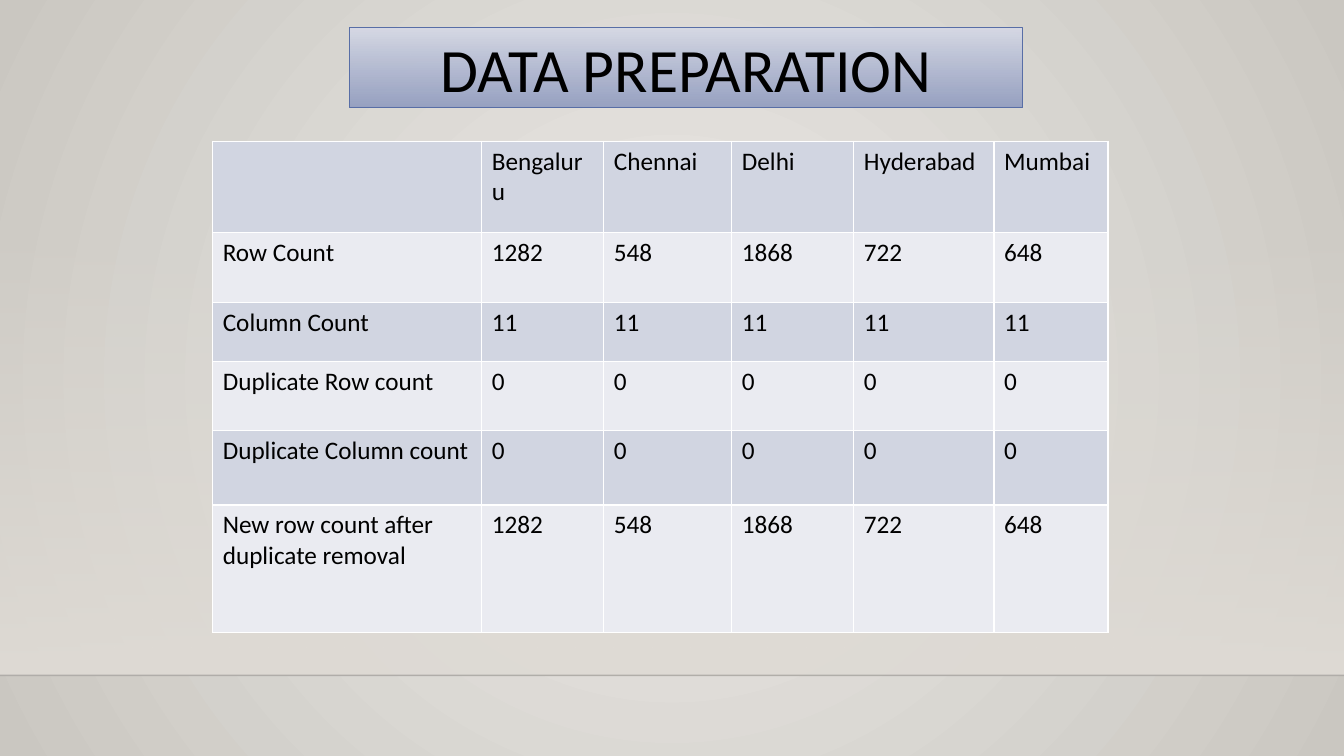
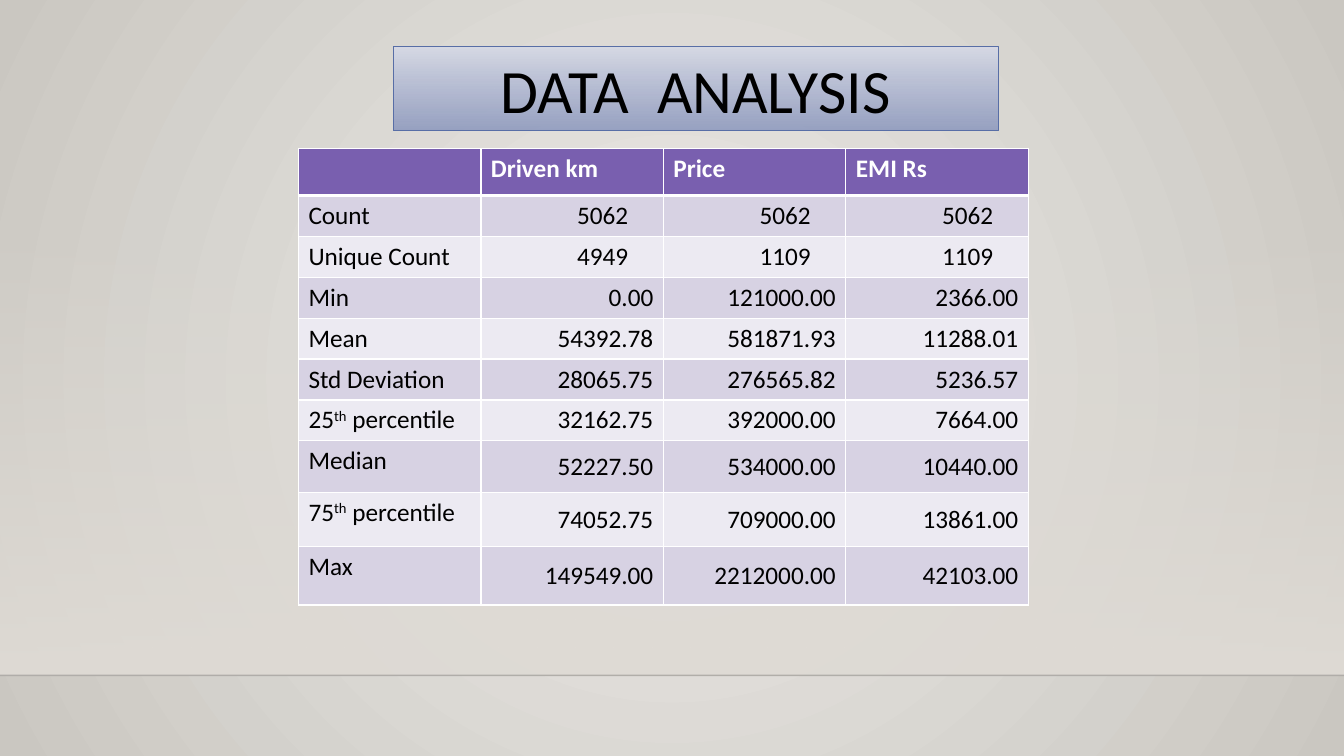
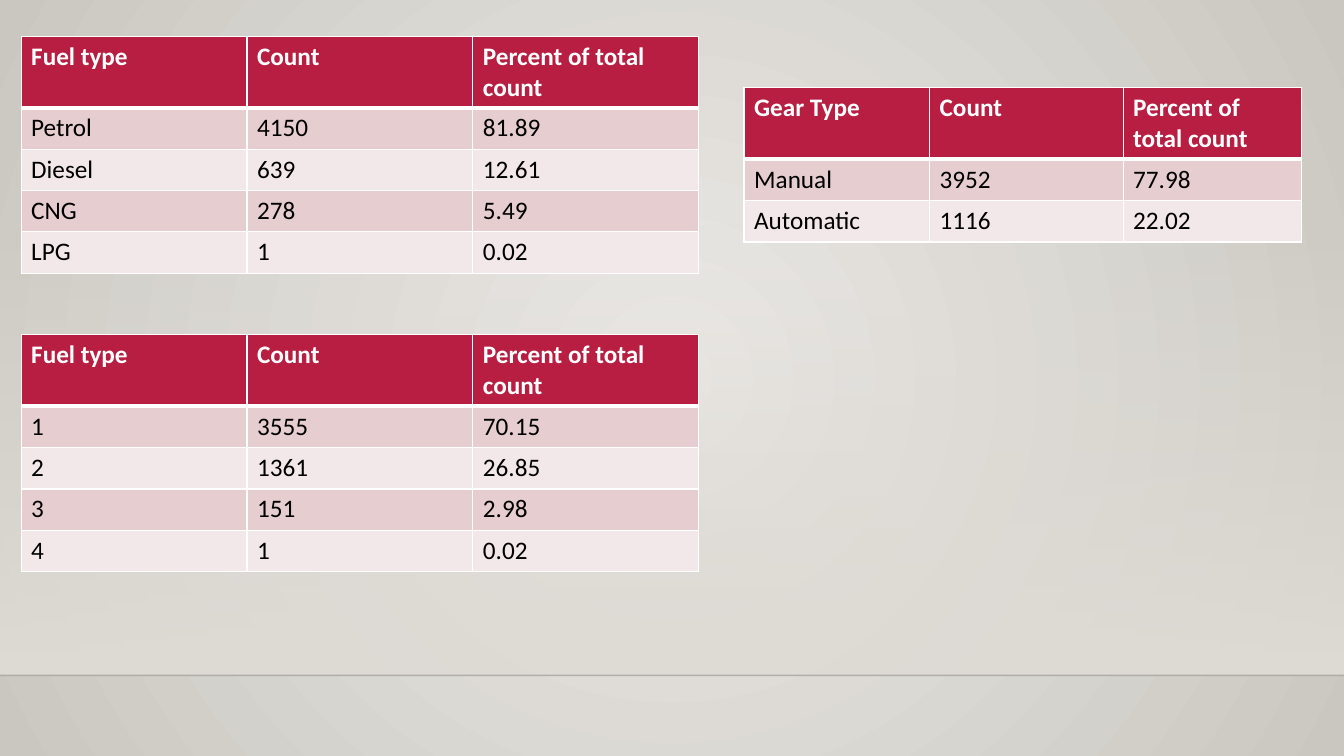
"""Build three slides of car data tables on a shared warm backdrop."""
import lxml.etree
import pptx
import pptx.dml.color
import pptx.enum.shapes
import pptx.enum.text
import pptx.oxml.ns
import pptx.util

Inches = pptx.util.Inches
Pt = pptx.util.Pt
qn = pptx.oxml.ns.qn
ALIGN = pptx.enum.text.PP_ALIGN
MIDDLE = pptx.enum.text.MSO_ANCHOR.MIDDLE

HUES = {
    "ink": "000000", "white": "FFFFFF", "rule": "000001",
    "core": "ECEAE7", "rim": "CAC7C1", "floor": "DFDBD5",
    "pale": "D6D9E5", "deep": "929DC0", "edge": "586EA6",
}
TONES = {
    "blue": ("D1D5E1", "D1D5E1", "EAEBF1"),
    "purple": ("795FAF", "D7D2E3", "ECEAF2"),
    "red": ("B71E42", "E6CDCF", "F3E8E9"),
}


def tint(hue):
    return pptx.dml.color.RGBColor.from_string(hue)


def sub(node, tag, **attrs):
    return lxml.etree.SubElement(node, qn(tag), **attrs)


def blend(owner, fill, stops, radial=False):
    fill.solid()
    old = owner.find(".//" + qn("a:solidFill"))
    grad = lxml.etree.Element(qn("a:gradFill"), rotWithShape="1")
    items = sub(grad, "a:gsLst")
    for spot, hue, alpha in stops:
        stop = sub(items, "a:gs", pos=str(spot * 1000))
        color = sub(stop, "a:srgbClr", val=HUES[hue])
        if alpha < 100:
            sub(color, "a:alpha", val=str(alpha * 1000))
    if radial:
        route = sub(grad, "a:path", path="circle")
        sub(route, "a:fillToRect", l="50000", t="50000", r="50000", b="50000")
    else:
        sub(grad, "a:lin", ang="5400000", scaled="0")
    old.getparent().replace(old, grad)


class Deck:
    def __init__(self):
        self.show = pptx.Presentation()
        self.show.slide_width = Inches(13.33)
        self.show.slide_height = Inches(7.5)
        self.font = "Calibri"
        master = self.show.slide_master
        blend(master.element, master.background.fill,
              [(0, "core", 100), (100, "rim", 100)], radial=True)

    def page(self):
        self.slide = self.show.slides.add_slide(self.show.slide_layouts[6])
        band = self.box(0, 2.21, 13.33, 4.49, [(0, "floor", 0), (100, "floor", 100)])
        band.line.fill.background()
        self.rule(6.7)

    def box(self, left, top, width, height, stops):
        shape = self.slide.shapes.add_shape(
            pptx.enum.shapes.MSO_SHAPE.RECTANGLE,
            Inches(left), Inches(top), Inches(width), Inches(height))
        shape.shadow.inherit = False
        blend(shape.element, shape.fill, stops)
        return shape

    def rule(self, top):
        line = self.slide.shapes.add_connector(
            pptx.enum.shapes.MSO_CONNECTOR.STRAIGHT,
            0, Inches(top), Inches(13.33), Inches(top))
        line.line.width = Pt(1)
        line.line.color.rgb = tint(HUES["rule"])
        sub(line.element.find(".//" + qn("a:srgbClr")), "a:alpha", val="20000")
        sub(line.element.spPr, "a:effectLst")

    def style(self, para, size, hue="ink", bold=False):
        for run in para.runs:
            run.font.name = self.font
            run.font.size = Pt(size)
            run.font.bold = bold
            run.font.color.rgb = tint(HUES[hue])

    def title(self, text, left, top, width, height):
        shape = self.box(left, top, width, height,
                         [(0, "pale", 100), (100, "deep", 92)])
        shape.line.color.rgb = tint(HUES["edge"])
        shape.line.width = Pt(0.75)
        frame = shape.text_frame
        frame.text = text
        frame.vertical_anchor = MIDDLE
        para = frame.paragraphs[0]
        para.alignment = ALIGN.CENTER
        self.style(para, 44)

    def edges(self, cell, upper, lower):
        props = cell._tc.get_or_add_tcPr()
        sides = (("L", 1), ("R", 1), ("T", upper), ("B", lower))
        for spot, (side, width) in enumerate(sides):
            line = lxml.etree.Element(qn("a:ln" + side), w=str(Pt(width)))
            sub(sub(line, "a:solidFill"), "a:srgbClr", val=HUES["white"])
            props.insert(spot, line)

    def label(self, cell, text, hue, bold):
        para = cell.text_frame.paragraphs[0]
        for spot, part in enumerate(text.split("^")):
            run = para.add_run()
            run.text = part
            if spot == 1:
                run._r.get_or_add_rPr().set("baseline", "30000")
        self.style(para, 18, hue, bold)

    def grid(self, left, top, cols, rows, data, tone, head=True, right=False):
        table = self.slide.shapes.add_table(
            len(rows), len(cols), Inches(left), Inches(top),
            Inches(sum(cols)), Inches(sum(rows))).table
        table.first_row = table.horz_banding = False
        for col, width in zip(table.columns, cols):
            col.width = Inches(width)
        first, odd, even = TONES[tone]
        for i, (height, line) in enumerate(zip(rows, data)):
            table.rows[i].height = Inches(height)
            lead = head and i == 0
            fill = first if i == 0 else odd if i % 2 == head else even
            for j, text in enumerate(line):
                cell = table.cell(i, j)
                cell.fill.solid()
                cell.fill.fore_color.rgb = tint(fill)
                self.edges(cell, 3 if head and i == 1 else 1, 3 if lead else 1)
                if text:
                    self.label(cell, text, "white" if lead else "ink", lead)
                if right and i and j:
                    cell.text_frame.paragraphs[0].alignment = ALIGN.RIGHT
                    cell.vertical_anchor = MIDDLE
                    if "." not in text:
                        cell.margin_right = Inches(0.35)


def main():
    deck = Deck()

    deck.page()
    counts = ["1282", "548", "1868", "722", "648"]
    deck.grid(2.11, 1.4, [2.67, 1.21, 1.27, 1.21, 1.39, 1.13],
              [0.91, 0.69, 0.59, 0.68, 0.74, 1.27], [
                  ["", "Bengaluru", "Chennai", "Delhi", "Hyderabad", "Mumbai"],
                  ["Row Count"] + counts,
                  ["Column Count"] + ["11"] * 5,
                  ["Duplicate Row count"] + ["0"] * 5,
                  ["Duplicate Column count"] + ["0"] * 5,
                  ["New row count after duplicate removal"] + counts,
              ], "blue", head=False)
    deck.title("DATA PREPARATION", 3.47, 0.27, 6.67, 0.8)

    deck.page()
    deck.title("DATA  ANALYSIS", 3.9, 0.46, 6, 0.84)
    deck.grid(2.96, 1.47, [1.81] * 4, [0.47] + [0.4] * 6 + [0.51, 0.54, 0.58], [
        ["", "Driven km", "Price", "EMI Rs"],
        ["Count", "5062", "5062", "5062"],
        ["Unique Count", "4949", "1109", "1109"],
        ["Min", "0.00", "121000.00", "2366.00"],
        ["Mean", "54392.78", "581871.93", "11288.01"],
        ["Std Deviation", "28065.75", "276565.82", "5236.57"],
        ["25^th^ percentile", "32162.75", "392000.00", "7664.00"],
        ["Median", "52227.50", "534000.00", "10440.00"],
        ["75^th^ percentile", "74052.75", "709000.00", "13861.00"],
        ["Max", "149549.00", "2212000.00", "42103.00"],
    ], "purple", right=True)

    deck.page()
    heads = ["Count", "Percent of total count"]
    fuel = [["Petrol", "4150", "81.89"], ["Diesel", "639", "12.61"],
            ["CNG", "278", "5.49"], ["LPG", "1", "0.02"]]
    owner = [["1", "3555", "70.15"], ["2", "1361", "26.85"],
             ["3", "151", "2.98"], ["4", "1", "0.02"]]
    gear = [["Manual", "3952", "77.98"], ["Automatic", "1116", "22.02"]]
    wide = [2.24] * 3
    for left, top, cols, name, body in (
            (7.38, 0.87, [1.84, 1.92, 1.77], "Gear Type", gear),
            (0.21, 0.36, wide, "Fuel type", fuel),
            (0.21, 3.32, wide, "Fuel type", owner)):
        deck.grid(left, top, cols, [0.7] + [0.41] * len(body),
                  [[name] + heads] + body, "red")

    deck.show.save("out.pptx")


if __name__ == "__main__":
    main()
